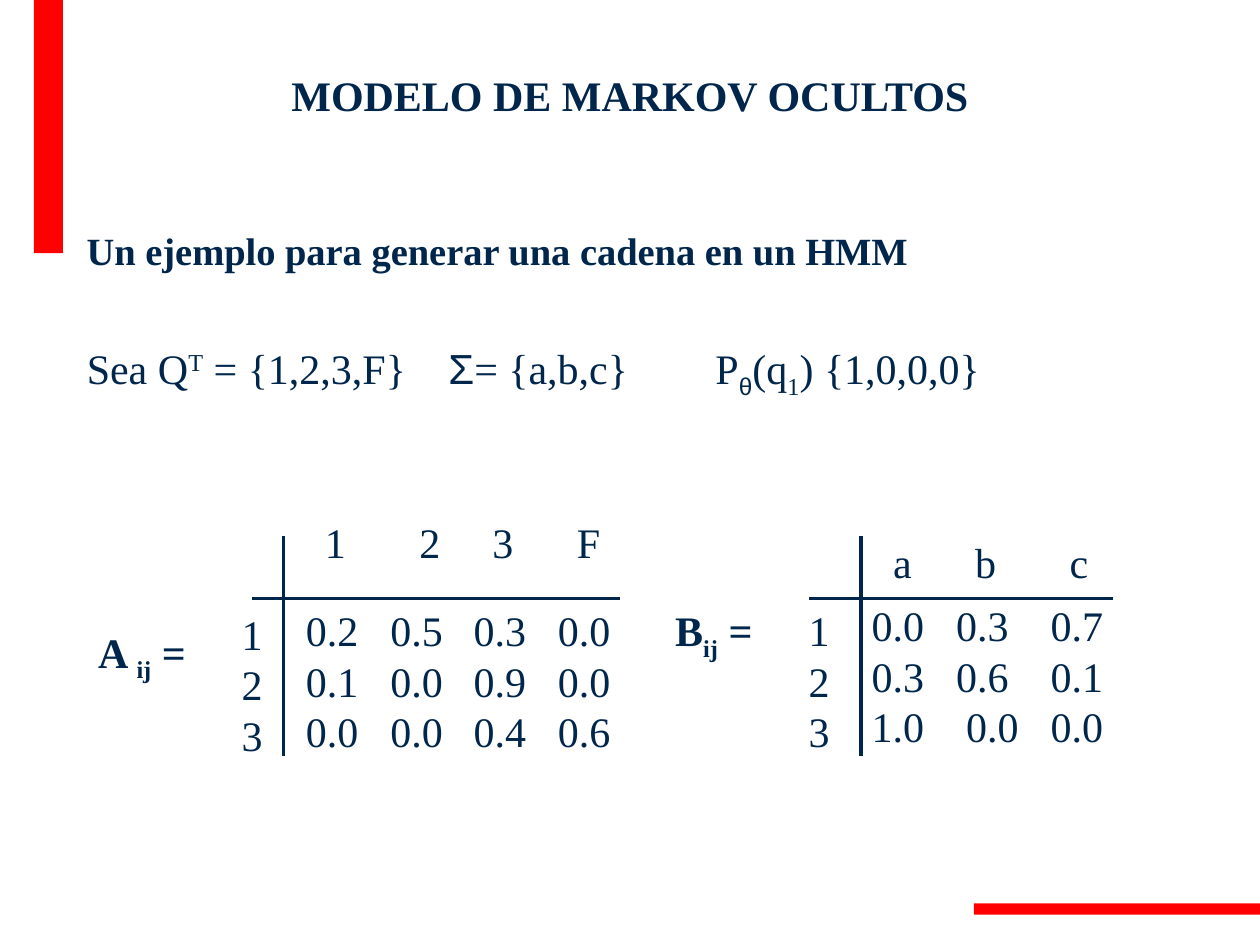
from dataclasses import dataclass

from lxml.etree import SubElement
from pptx import Presentation
from pptx.dml.color import RGBColor
from pptx.enum.shapes import MSO_CONNECTOR as Connector, MSO_SHAPE as Shape
from pptx.enum.text import MSO_ANCHOR as Anchor, MSO_AUTO_SIZE as AutoSize, PP_ALIGN as Align
from pptx.oxml.ns import qn
from pptx.util import Inches, Pt


@dataclass(frozen=True)
class Theme:
    ink: RGBColor = RGBColor(0x00, 0x26, 0x4C)
    accent: RGBColor = RGBColor(0xFF, 0x00, 0x00)
    serif: str = "Times New Roman"
    sans: str = "Arial"
    body: int = 24
    subtitle: int = 22
    thin: float = 1.5
    thick: float = 2.25


THEME = Theme()
SUPERSCRIPT, SUBSCRIPT = 30, -25


@dataclass(frozen=True)
class Span:
    text: str
    bold: bool = False
    baseline: int = 0
    font: str = THEME.serif
    size: int = THEME.body


@dataclass(frozen=True)
class Line:
    spans: list[Span]
    tabs: tuple[float, ...] = ()


@dataclass(frozen=True)
class Box:
    left: float
    top: float
    width: float
    height: float


@dataclass(frozen=True)
class Matrix:
    name: Line
    name_box: Box
    header: Line
    header_box: Box
    states_box: Box
    rows: list[Line]
    rows_box: Box
    rule_start: float
    rule_end: float
    divider: float


def row(*cells: str, tabs: tuple[float, ...]) -> Line:
    return Line([Span("\t".join(cells))], tabs)


def write_line(paragraph, line: Line) -> None:
    if line.tabs:
        tab_list = SubElement(paragraph._p.get_or_add_pPr(), qn("a:tabLst"))
        for stop in line.tabs:
            SubElement(tab_list, qn("a:tab"), pos=str(Inches(stop)), algn="l")
    for span in line.spans:
        run = paragraph.add_run()
        run.text = span.text
        run.font.name = span.font
        run.font.size = Pt(span.size)
        run.font.bold = span.bold
        run.font.color.rgb = THEME.ink
        if span.baseline:
            run._r.get_or_add_rPr().set("baseline", str(span.baseline * 1000))


def add_text(slide, box: Box, *lines: Line) -> None:
    frame = slide.shapes.add_textbox(
        Inches(box.left), Inches(box.top), Inches(box.width), Inches(box.height)
    ).text_frame
    frame.word_wrap = True
    for index, line in enumerate(lines):
        paragraph = frame.add_paragraph() if index else frame.paragraphs[0]
        write_line(paragraph, line)


def add_bar(slide, box: Box) -> None:
    bar = slide.shapes.add_shape(
        Shape.RECTANGLE, Inches(box.left), Inches(box.top), Inches(box.width), Inches(box.height)
    )
    bar.shadow.inherit = False
    bar.fill.solid()
    bar.fill.fore_color.rgb = THEME.accent
    bar.line.fill.background()


def add_rule(slide, x1: float, y1: float, x2: float, y2: float, weight: float) -> None:
    rule = slide.shapes.add_connector(
        Connector.STRAIGHT, Inches(x1), Inches(y1), Inches(x2), Inches(y2)
    )
    rule.line.color.rgb = THEME.ink
    rule.line.width = Pt(weight)
    SubElement(rule._element.spPr, qn("a:effectLst"))


def add_title(slide, box: Box, line: Line) -> None:
    title = slide.shapes.title
    title.left, title.top = Inches(box.left), Inches(box.top)
    title.width, title.height = Inches(box.width), Inches(box.height)
    frame = title.text_frame
    frame.vertical_anchor = Anchor.TOP
    frame.auto_size = AutoSize.NONE
    frame.paragraphs[0].alignment = Align.CENTER
    write_line(frame.paragraphs[0], line)


def add_matrix(slide, matrix: Matrix) -> None:
    add_text(slide, matrix.name_box, matrix.name)
    add_text(slide, matrix.rows_box, *matrix.rows)
    add_text(slide, matrix.header_box, matrix.header)
    add_text(slide, matrix.states_box, *(Line([Span(state)]) for state in "123"))
    add_rule(slide, matrix.rule_start, 4.75, matrix.rule_end, 4.75, THEME.thin)
    add_rule(slide, matrix.divider, 4.25, matrix.divider, 6, THEME.thick)


A_TABS = (0.67, 1.33, 2)
B_TABS = (0.67, 1.42)

TRANSITIONS = Matrix(
    name=Line([Span("A ", bold=True), Span("ij", bold=True, baseline=SUBSCRIPT),
               Span(" =", bold=True)]),
    name_box=Box(0.68, 4.92, 1, 0.56),
    header=row("1", "2", "3", "F", tabs=(0.75, 1.33, 2)),
    header_box=Box(2.48, 4.05, 2.55, 0.5),
    states_box=Box(1.82, 4.78, 0.4, 1.3),
    rows=[
        row("0.2", "0.5", "0.3", "0.0", tabs=A_TABS),
        row("0.1", "0.0", "0.9", "0.0", tabs=A_TABS),
        row("0.0", "0.0", "0.4", "0.6", tabs=A_TABS),
    ],
    rows_box=Box(2.33, 4.75, 3.08, 1.3),
    rule_start=2, rule_end=4.92, divider=2.25,
)

EMISSIONS = Matrix(
    name=Line([Span("B", bold=True), Span("ij", bold=True, baseline=SUBSCRIPT),
               Span(" =", bold=True)]),
    name_box=Box(5.26, 4.75, 0.95, 0.56),
    header=row("a", "b", "c", tabs=(0.65, 1.4)),
    header_box=Box(6.99, 4.21, 1.95, 0.5),
    states_box=Box(6.32, 4.75, 0.4, 1.3),
    rows=[
        row("0.0", "0.3", "0.7", tabs=B_TABS),
        row("0.3", "0.6", "0.1", tabs=B_TABS),
        row("1.0", "0.0", "0.0", tabs=(0.75, 1.42)),
    ],
    rows_box=Box(6.82, 4.71, 2.2, 1.3),
    rule_start=6.42, rule_end=8.83, divider=6.83,
)


def main() -> None:
    deck = Presentation()
    deck.slide_width, deck.slide_height = Inches(10), Inches(7.5)
    slide = deck.slides.add_slide(deck.slide_layouts[5])

    # Accent bars
    add_bar(slide, Box(0.27, 0, 0.23, 2.01))
    add_bar(slide, Box(7.73, 7.17, 2.27, 0.09))

    # Title and subtitle
    add_title(slide, Box(0.75, 0.5, 8.5, 0.9),
              Line([Span("MODELO DE MARKOV OCULTOS", bold=True)]))
    add_text(slide, Box(0.59, 1.75, 6.8, 0.47), Line([
        Span("Un ejemplo para generar una cadena en un HMM", bold=True, size=THEME.subtitle)]))

    # States, alphabet and initial probabilities
    add_text(slide, Box(0.59, 2.67, 4.65, 0.5), Line([
        Span("Sea Q"), Span("T", baseline=SUPERSCRIPT), Span(" = {1,2,3,F}\t"),
        Span("Σ", font=THEME.sans), Span("= {a,b,c}")], tabs=(2.87,)))
    add_text(slide, Box(5.58, 2.67, 2.42, 0.56), Line([
        Span("P"), Span("θ", baseline=SUBSCRIPT, font=THEME.sans), Span("(q"),
        Span("1", baseline=SUBSCRIPT), Span(") {1,0,0,0}")]))

    # Transition and emission matrices
    for matrix in (TRANSITIONS, EMISSIONS):
        add_matrix(slide, matrix)

    deck.save("out.pptx")


if __name__ == "__main__":
    main()
